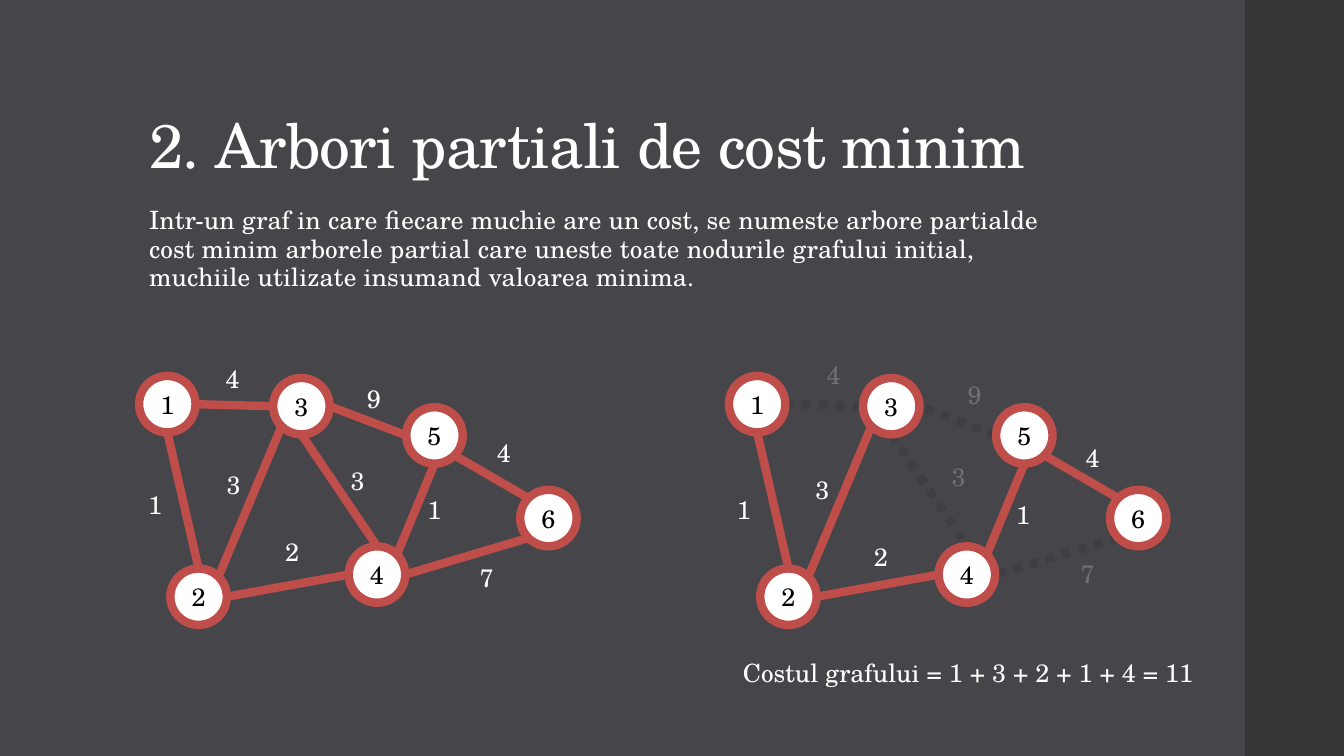
import pptx
import pptx.dml.color
import pptx.enum.dml
import pptx.enum.shapes
import pptx.enum.text
import pptx.oxml.ns
import pptx.util
from dataclasses import dataclass
from lxml import etree

Inches, Pt = pptx.util.Inches, pptx.util.Pt
PP_ALIGN, MSO_ANCHOR = pptx.enum.text.PP_ALIGN, pptx.enum.text.MSO_ANCHOR
MSO_SHAPE = pptx.enum.shapes.MSO_SHAPE
qn = pptx.oxml.ns.qn


@dataclass(frozen=True)
class Theme:
    """Colours, font and sizes of the slide."""
    font: str = "TeX Gyre Schola"
    background: str = "46464A"
    strip: str = "353537"
    light: str = "FFFFFF"
    dark: str = "000000"
    edge: str = "BF4D4A"
    dropped_edge: str = "3F3F43"
    dropped_cost: str = "6F6F74"
    title_size: int = 44
    text_size: int = 18
    stroke: int = 6


THEME = Theme()
TITLE = "2. Arbori partiali de cost minim"
DEFINITION = ("Intr-un graf in care fiecare muchie are un cost, se numeste arbore "
              "partialde cost minim arborele partial care uneste toate nodurile "
              "grafului initial, muchiile utilizate insumand valoarea minima.")
TOTAL = "Costul grafului = 1 + 3 + 2 + 1 + 4 = 11"

DIAMETER = 0.56
NODES = {1: (1.38, 3.73), 2: (1.69, 5.64), 3: (2.71, 3.75),
         4: (3.46, 5.42), 5: (4.03, 4.04), 6: (5.16, 4.86)}
# node, side, node, side, cost, left and top of the cost, in the minimum tree
EDGES = [
    (1, "bottom", 2, "top", 1, 1.37, 4.81, True),
    (2, "right", 4, "left", 2, 2.73, 5.27, True),
    (3, "bottom", 4, "top", 3, 3.38, 4.57, False),
    (1, "right", 3, "left", 4, 2.14, 3.56, False),
    (5, "left", 3, "right", 9, 3.54, 3.75, False),
    (4, "top right", 5, "bottom", 1, 4.14, 4.85, True),
    (6, "bottom left", 4, "right", 7, 4.66, 5.53, False),
    (5, "bottom right", 6, "top left", 4, 4.83, 4.29, True),
    (3, "bottom left", 2, "top right", 3, 2.15, 4.61, True),
]
# connection sites of an ellipse, in order, as fractions of its box
SITES = {"top": (0.5, 0), "top left": (0.15, 0.15), "left": (0, 0.5),
         "bottom left": (0.15, 0.85), "bottom": (0.5, 1),
         "bottom right": (0.85, 0.85), "right": (1, 0.5), "top right": (0.85, 0.15)}
SITE_ORDER = list(SITES)
TREE_SHIFT = 5.85
KEPT_COST_SHIFT = (5.84, 0.05)
DROPPED_COST_SHIFT = (5.96, -0.04)


def rgb(code):
    """Turn a hex code into a colour."""
    return pptx.dml.color.RGBColor.from_string(code)


def write(frame, text, color=THEME.light, size=THEME.text_size, spacing=0):
    """Put one formatted paragraph into a text frame and return it."""
    frame.text = text
    paragraph = frame.paragraphs[0]
    for run in paragraph.runs:
        run.font.name = THEME.font
        run.font.size = Pt(size)
        run.font.color.rgb = rgb(color)
        if spacing:
            run._r.get_or_add_rPr().set("spc", str(round(spacing * 100)))
    return paragraph


def add_label(slide, text, left, top, width=0.34, color=THEME.light):
    """Add a one-line text that does not wrap."""
    label = slide.shapes.add_textbox(Inches(left), Inches(top), Inches(width), Inches(0.4))
    label.text_frame.word_wrap = False
    label.text_frame.auto_size = pptx.enum.text.MSO_AUTO_SIZE.SHAPE_TO_FIT_TEXT
    write(label.text_frame, text, color)


def add_node(slide, number, left, top):
    """Add one numbered graph node."""
    node = slide.shapes.add_shape(MSO_SHAPE.OVAL, Inches(left), Inches(top),
                                  Inches(DIAMETER), Inches(DIAMETER))
    node.shadow.inherit = False
    node.fill.solid()
    node.fill.fore_color.rgb = rgb(THEME.light)
    node.line.color.rgb = rgb(THEME.edge)
    node.line.width = Pt(THEME.stroke)
    node.text_frame.vertical_anchor = MSO_ANCHOR.MIDDLE
    write(node.text_frame, str(number), THEME.dark).alignment = PP_ALIGN.CENTER
    return node


def site_point(node, side):
    """Return the point of a node's connection site."""
    across, down = SITES[side]
    return round(node.left + across * node.width), round(node.top + down * node.height)


def add_edge(slide, start, start_side, end, end_side, dropped):
    """Join two nodes; a dropped edge is dotted and lies behind them."""
    edge = slide.shapes.add_connector(pptx.enum.shapes.MSO_CONNECTOR.STRAIGHT,
                                      *site_point(start, start_side),
                                      *site_point(end, end_side))
    edge.line.width = Pt(THEME.stroke)
    edge.line.color.rgb = rgb(THEME.dropped_edge if dropped else THEME.edge)
    links = edge._element.find(".//" + qn("p:cNvCxnSpPr"))
    for tag, node, side in (("a:stCxn", start, start_side), ("a:endCxn", end, end_side)):
        etree.SubElement(links, qn(tag), id=str(node.shape_id),
                         idx=str(SITE_ORDER.index(side)))
    if dropped:
        edge.line.dash_style = pptx.enum.dml.MSO_LINE.ROUND_DOT
        slide.shapes._spTree.insert(2, edge._element)
    etree.SubElement(edge._element.spPr, qn("a:effectLst"))


def add_graph(slide, shift=0, tree_only=False):
    """Draw the graph with its costs, fading what is outside the tree if asked."""
    nodes = {number: add_node(slide, number, left + shift, top)
             for number, (left, top) in NODES.items()}
    for start, start_side, end, end_side, cost, left, top, in_tree in EDGES:
        dropped = tree_only and not in_tree
        add_edge(slide, nodes[start], start_side, nodes[end], end_side, dropped)
        dx, dy = (0, 0)
        if tree_only:
            dx, dy = DROPPED_COST_SHIFT if dropped else KEPT_COST_SHIFT
        add_label(slide, str(cost), left + dx, top + dy,
                  color=THEME.dropped_cost if dropped else THEME.light)


def add_heading(slide):
    """Fill the title and add the definition below it."""
    title = slide.shapes.title
    title.left, title.top = Inches(1.38), Inches(0.4)
    title.width, title.height = Inches(10.6), Inches(1.45)
    title.text_frame.vertical_anchor = MSO_ANCHOR.BOTTOM
    title.text_frame.auto_size = pptx.enum.text.MSO_AUTO_SIZE.NONE
    heading = write(title.text_frame, TITLE, size=THEME.title_size, spacing=-0.5)
    heading.alignment = PP_ALIGN.LEFT
    heading.line_spacing = 0.9

    definition = slide.shapes.add_textbox(Inches(1.38), Inches(2), Inches(9.4), Inches(1.16))
    definition.text_frame.word_wrap = True
    body = write(definition.text_frame, DEFINITION, spacing=0.1)
    body.line_spacing = 0.95


def add_strip(slide):
    """Add the dark strip along the right side."""
    strip = slide.shapes.add_shape(MSO_SHAPE.RECTANGLE, Inches(12.35), 0,
                                   Inches(0.98), Inches(7.5))
    strip.shadow.inherit = False
    strip.fill.solid()
    strip.fill.fore_color.rgb = rgb(THEME.strip)
    strip.line.fill.background()


presentation = pptx.Presentation()
presentation.slide_width, presentation.slide_height = Inches(13.33), Inches(7.5)
slide = presentation.slides.add_slide(presentation.slide_layouts.get_by_name("Title Only"))
slide.background.fill.solid()
slide.background.fill.fore_color.rgb = rgb(THEME.background)

add_strip(slide)
add_heading(slide)
add_graph(slide)
add_graph(slide, TREE_SHIFT, tree_only=True)
add_label(slide, TOTAL, 7.27, 6.47, width=4.71)

presentation.save("out.pptx")
